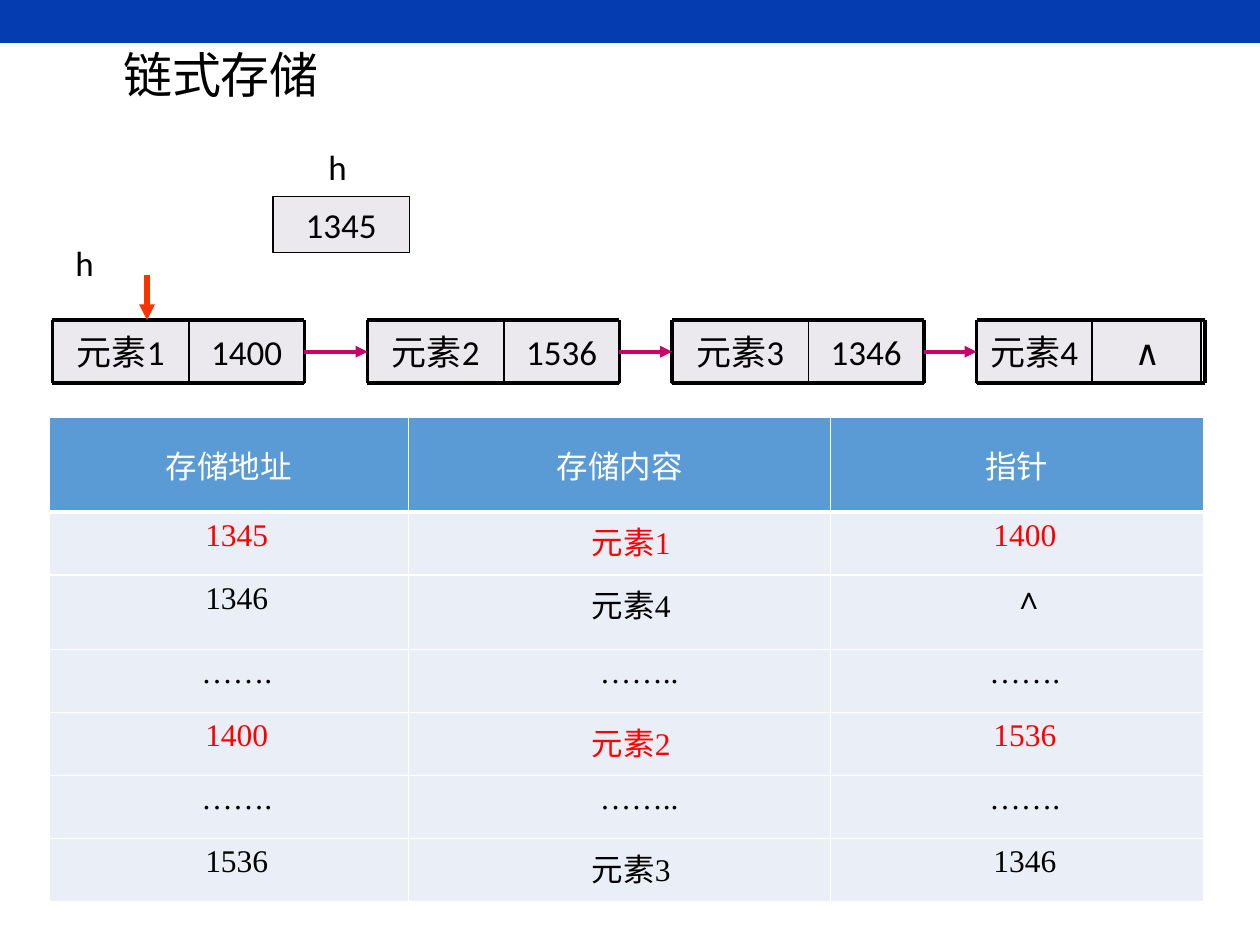
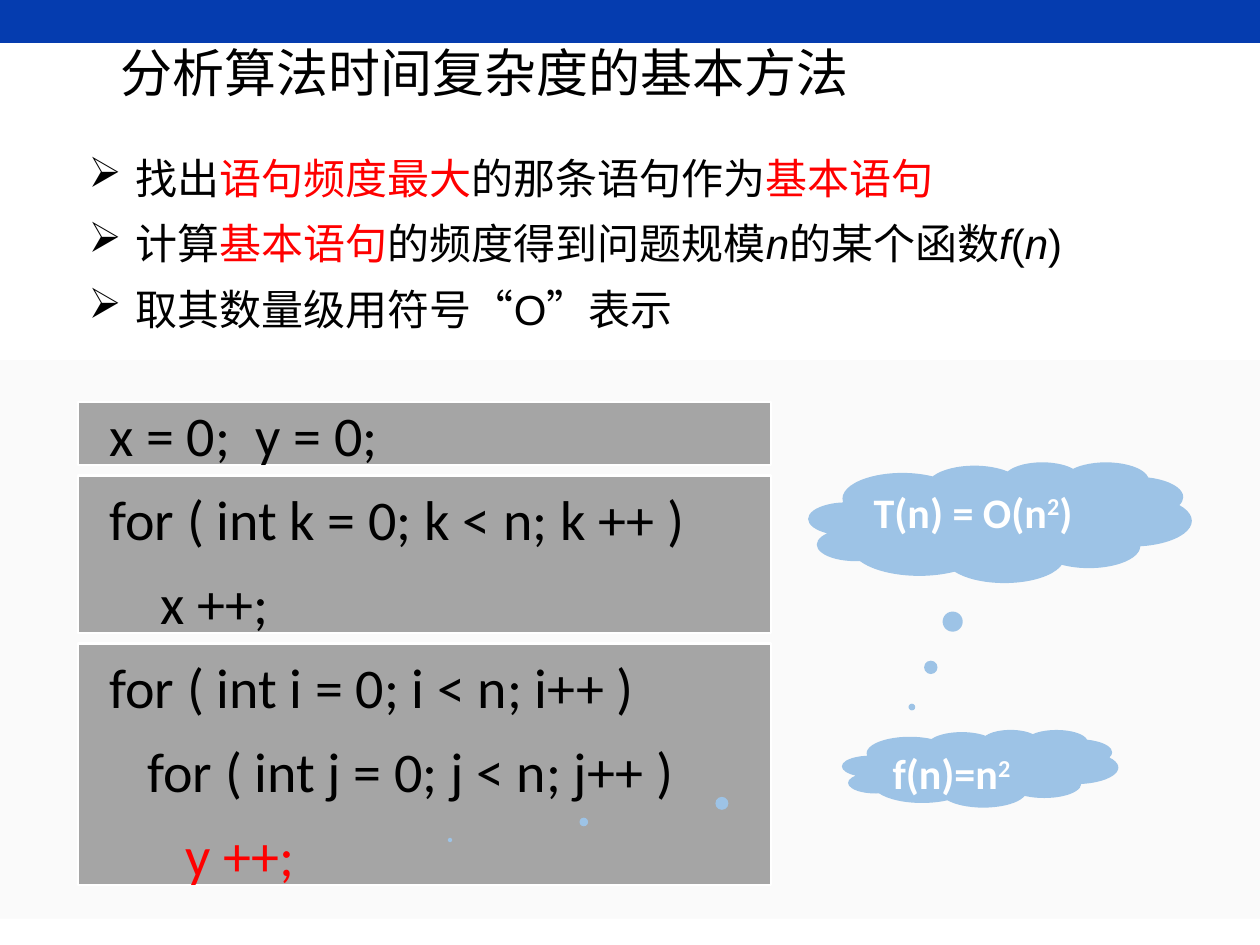
from dataclasses import dataclass

from lxml.etree import SubElement
from pptx import Presentation
from pptx.dml.color import RGBColor
from pptx.enum.shapes import MSO_CONNECTOR, MSO_SHAPE
from pptx.enum.text import MSO_ANCHOR, PP_ALIGN
from pptx.oxml.ns import qn
from pptx.util import Inches, Pt

COLUMNS, ROWS = 120, 90
INSET = (1.2, 0.6)  # usual text inset: columns at the sides, rows above and below


@dataclass(frozen=True)
class Type:
    font: str
    size: float
    bold: bool = False
    color: str = "000000"
    spacing: float = 1.0


@dataclass(frozen=True)
class Theme:
    band: str = "053CAF"
    ink: str = "000000"
    paper: str = "FFFFFF"
    highlight: str = "FF0000"
    node: str = "EBE9EE"
    link: str = "CC0066"
    head_arrow: str = "FF3300"
    table_head: str = "5B9BD5"
    table_body: str = "EAEFF7"
    panel: str = "FAFAFA"
    code_block: str = "A5A5A5"
    cloud: str = "9DC3E6"
    chinese_font: str = "Noto Sans CJK SC"
    node_type: Type = Type("Calibri", 20)
    storage_title: Type = Type("Times New Roman", 28)
    method_title: Type = Type("Noto Sans CJK SC", 29.7, spacing=0.7)
    header_type: Type = Type("Arial", 18, color="FFFFFF")
    cell_type: Type = Type("Times New Roman", 18)
    bullet_type: Type = Type("Arial", 24, spacing=1.3)
    code_type: Type = Type("Calibri", 32, spacing=1.25)
    cloud_type: Type = Type("Calibri", 24, bold=True, color="FFFFFF")


@dataclass(frozen=True)
class Span:
    text: str
    color: str = ""
    italic: bool = False
    raised: bool = False


THEME = Theme()


class Deck:
    def __init__(self, theme):
        self.theme = theme
        self.presentation = Presentation()
        self.presentation.slide_width = Inches(10)
        self.presentation.slide_height = Inches(7.5)
        self.slide = None

    def across(self, columns):
        return round(self.presentation.slide_width * columns / COLUMNS)

    def down(self, rows):
        return round(self.presentation.slide_height * rows / ROWS)

    def place(self, box):
        left, top, width, height = box
        return self.across(left), self.down(top), self.across(width), self.down(height)

    def new_slide(self, title, title_type, title_box):
        layout = self.presentation.slide_layouts[6]
        self.slide = self.presentation.slides.add_slide(layout)
        self.shape((0, 0, COLUMNS, 4.1), self.theme.band)
        self.text(title_box, [[Span(title)]], title_type, anchor=MSO_ANCHOR.MIDDLE)

    def add_spans(self, paragraph, spans, style, align=PP_ALIGN.LEFT):
        paragraph.alignment = align
        paragraph.line_spacing = style.spacing
        for span in spans:
            run = paragraph.add_run()
            run.text = span.text
            font = run.font
            font.name, font.size = style.font, Pt(style.size)
            font.bold, font.italic = style.bold, span.italic
            font.color.rgb = RGBColor.from_string(span.color or style.color)
            properties = run._r.get_or_add_rPr()
            east_asian = SubElement(properties, qn("a:ea"))
            east_asian.set("typeface", self.theme.chinese_font)
            if span.raised:
                properties.set("baseline", "30000")

    def fill_frame(self, frame, paragraphs, style, align=PP_ALIGN.LEFT,
                   anchor=MSO_ANCHOR.TOP, wrap=True, inset=INSET, shift=0, bullet=""):
        """Add paragraphs of spans; shift adds columns to the left inset."""
        frame.word_wrap = wrap
        frame.vertical_anchor = anchor
        side, edge = inset
        frame.margin_left, frame.margin_right = self.across(side + shift), self.across(side)
        frame.margin_top = frame.margin_bottom = self.down(edge)
        for number, spans in enumerate(paragraphs):
            paragraph = frame.add_paragraph() if number else frame.paragraphs[0]
            if bullet:
                self.bullet(paragraph, bullet)
            self.add_spans(paragraph, spans, style, align)

    def bullet(self, paragraph, symbol):
        properties = paragraph._p.get_or_add_pPr()
        hang = self.across(4.5)
        properties.set("marL", str(hang))
        properties.set("indent", str(-hang))
        SubElement(properties, qn("a:buChar")).set("char", symbol)

    def shape(self, box, fill, line=None, line_width=0.75, preset=MSO_SHAPE.RECTANGLE):
        shape = self.slide.shapes.add_shape(preset, *self.place(box))
        shape.shadow.inherit = False
        shape.fill.solid()
        shape.fill.fore_color.rgb = RGBColor.from_string(fill)
        if line:
            shape.line.color.rgb = RGBColor.from_string(line)
            shape.line.width = Pt(line_width)
        else:
            shape.line.fill.background()
        return shape

    def text(self, box, paragraphs, style, **options):
        shape = self.slide.shapes.add_textbox(*self.place(box))
        self.fill_frame(shape.text_frame, paragraphs, style, **options)

    def line(self, start, end, color, width=2.25, arrow=False):
        connector = self.slide.shapes.add_connector(
            MSO_CONNECTOR.STRAIGHT, self.across(start[0]), self.down(start[1]),
            self.across(end[0]), self.down(end[1]))
        connector.line.color.rgb = RGBColor.from_string(color)
        connector.line.width = Pt(width)
        if arrow:
            tail = SubElement(connector.line._get_or_add_ln(), qn("a:tailEnd"))
            tail.set("type", "triangle")
        SubElement(connector._element.spPr, qn("a:effectLst"))

    def value_box(self, box, value, shift=0):
        shape = self.shape(box, self.theme.node, self.theme.ink)
        self.fill_frame(shape.text_frame, [[Span(value)]], self.theme.node_type,
                        align=PP_ALIGN.CENTER, anchor=MSO_ANCHOR.MIDDLE, wrap=False, shift=shift)

    def frame(self, left, top, width, height):
        right, bottom = left + width, top + height
        corners = [(left, top), (right, top), (right, bottom), (left, bottom)]
        for start, end in zip(corners, corners[1:] + corners[:1]):
            self.line(start, end, self.theme.ink)

    def cloud(self, box, spans, pointer):
        shape = self.shape(box, self.theme.cloud, preset=MSO_SHAPE.CLOUD_CALLOUT)
        shape.adjustments[0], shape.adjustments[1] = pointer
        self.fill_frame(shape.text_frame, [spans], self.theme.cloud_type)

    def borders(self, cell, **widths):
        properties = cell._tc.get_or_add_tcPr()
        for side in "LRTB":
            border = SubElement(properties, qn(f"a:ln{side}"))
            border.set("w", str(Pt(widths.get(side, 1))))
            fill = SubElement(border, qn("a:solidFill"))
            SubElement(fill, qn("a:srgbClr")).set("val", self.theme.paper)

    def table(self, left, top, widths, heights, rows, highlighted, shifts):
        """Draw rows under a header; shifts gives extra left inset by column or text."""
        theme = self.theme
        box = (left, top, sum(widths), sum(heights))
        table = self.slide.shapes.add_table(len(rows), len(widths), *self.place(box)).table
        table.first_row = table.horz_banding = False
        for column, width in zip(table.columns, widths):
            column.width = self.across(width)
        for row_number, (values, height) in enumerate(zip(rows, heights)):
            table.rows[row_number].height = self.down(height)
            header = row_number == 0
            color = theme.highlight if row_number in highlighted else ""
            for column_number, value in enumerate(values):
                cell = table.cell(row_number, column_number)
                self.borders(cell, B=3 if header else 1, T=3 if row_number == 1 else 1)
                cell.fill.solid()
                cell.fill.fore_color.rgb = RGBColor.from_string(
                    theme.table_head if header else theme.table_body)
                cell.vertical_anchor = MSO_ANCHOR.MIDDLE if header else MSO_ANCHOR.TOP
                shift = 0 if header else shifts.get(value, shifts[column_number])
                cell.margin_left = self.across(INSET[0] + shift)
                cell.margin_right = self.across(INSET[0])
                cell.margin_top = cell.margin_bottom = self.down(INSET[1])
                self.add_spans(cell.text_frame.paragraphs[0], [Span(value, color)],
                               theme.header_type if header else theme.cell_type,
                               PP_ALIGN.CENTER)


def linked_storage(deck):
    theme = deck.theme
    deck.new_slide("链式存储", theme.storage_title, (10.55, 3.6, 23.6, 6.85))

    top, height = 30.5, 6
    # left, element width, pointer left, whole width, element, pointer, pointer shift
    nodes = [
        (5, 13, 18, 24, "元素1", "1400", 0),
        (35, 13, 48, 24, "元素2", "1536", 0),
        (64, 13, 77, 24, "元素3", "1346", 0),
        (93, 11, 103.4, 21.8, "元素4", "∧", 0.75),
    ]
    for left, element_width, pointer_left, width, element, pointer, shift in nodes:
        deck.value_box((pointer_left, top, 11, height), pointer, shift)
        deck.value_box((left, top, element_width, height), element)
        deck.frame(left, top, width, height)
    middle = top + height / 2
    for node, following in zip(nodes, nodes[1:]):
        deck.line((node[0] + node[3], middle), (following[0], middle), theme.link, arrow=True)

    deck.value_box((26, 18.75, 13, 5.3), "1345")
    for left, label_top in ((6, 22.4), (30.1, 13.3)):
        deck.text((left, label_top, 5, 5.3), [[Span("h")]], theme.node_type)
    deck.line((14, 26.15), (14, top), theme.head_arrow, width=3, arrow=True)

    rows = [
        ("存储地址", "存储内容", "指针"),
        ("1345", "元素1", "1400"),
        ("1346", "元素4", "∧"),
        ("…….", "……..", "……."),
        ("1400", "元素2", "1536"),
        ("…….", "……..", "……."),
        ("1536", "元素3", "1346"),
    ]
    deck.table(4.7, 39.75, (34.2, 40.2, 35.5), (9, 6, 7.1, 6, 6, 6, 6), rows,
               highlighted={1, 4},
               shifts={0: 1.5, 1: 2.25, 2: 1.5, "∧": 2.25, "……..": 3.75})


def time_complexity(deck):
    theme = deck.theme
    red = theme.highlight
    deck.new_slide("分析算法时间复杂度的基本方法", theme.method_title, (10.3, 4.3, 78.7, 6.6))

    deck.shape((0, 34.3, COLUMNS, 53.2), theme.panel)
    block_top, gap = 38.3, 1
    for height in (6, 15, 23):
        deck.shape((7.45, block_top, 66, height), theme.code_block, theme.paper, 1.5)
        block_top += height + gap
    code = [
        "x = 0;  y = 0;",
        "for ( int k = 0; k < n; k ++ )",
        "    x ++;",
        "for ( int i = 0; i < n; i++ )",
        "   for ( int j = 0; j < n; j++ )",
    ]
    deck.text((9.25, 36, 61.3, 49.7),
              [[Span(line)] for line in code] + [[Span("      y ++;", red)]], theme.code_type)

    steps = [
        [Span("找出"), Span("语句频度最大", red), Span("的那条语句作为"), Span("基本语句", red)],
        [Span("计算"), Span("基本语句", red), Span("的频度得到问题规模"),
         Span("n", italic=True), Span("的某个函数"), Span("f", italic=True),
         Span("("), Span("n", italic=True), Span(")")],
        [Span("取其数量级用符号“O”表示")],
    ]
    deck.text((7, 12.35, 113, 20.4), steps, theme.bullet_type, inset=(1.44, 0.72), bullet="➢")

    square = Span("2", raised=True)
    deck.cloud((80.2, 69.5, 26.3, 7.4), [Span("f(n)=n"), square], (-1.92, 0.92))
    deck.cloud((77, 44, 36.5, 11.5), [Span("T(n) = O(n"), square, Span(")")], (-0.23, 1.53))


def main():
    deck = Deck(THEME)
    linked_storage(deck)
    time_complexity(deck)
    deck.presentation.save("out.pptx")


if __name__ == "__main__":
    main()
